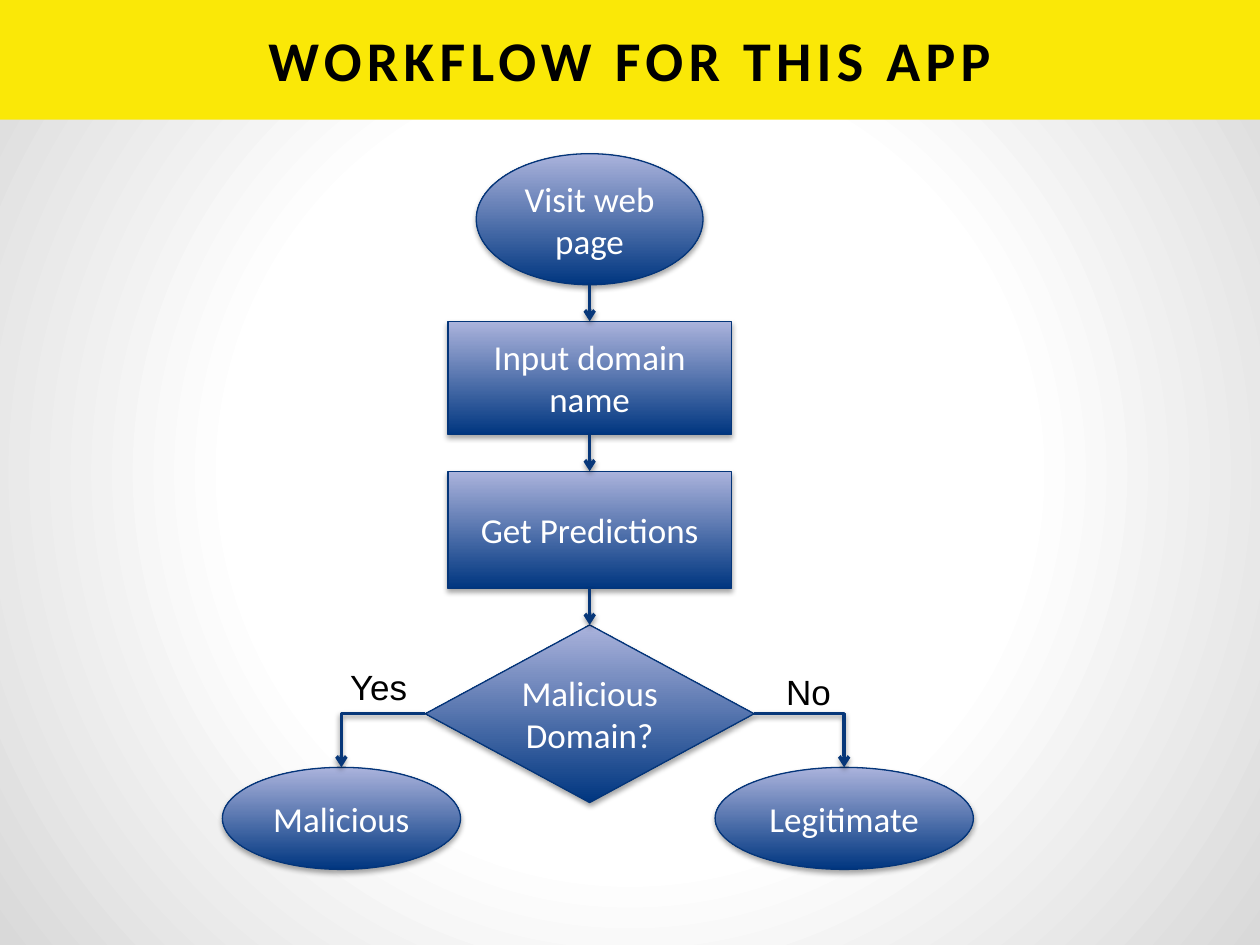
from lxml import etree
from pptx import Presentation
from pptx.dml.color import RGBColor
from pptx.enum.shapes import MSO_CONNECTOR as Link, MSO_SHAPE as Preset
from pptx.enum.text import MSO_ANCHOR as Anchor, PP_ALIGN as Align
from pptx.oxml import parse_xml
from pptx.oxml.ns import nsdecls, qn
from pptx.util import Inches, Pt

TITLE = "WORKFLOW FOR THIS APP"
# name, text, preset, width, height
STEPS = [
    ("visit", "Visit web page", Preset.OVAL, 1.8, 1.04),
    ("input", "Input domain name", Preset.FLOWCHART_PROCESS, 2.25, 0.9),
    ("predict", "Get Predictions", Preset.FLOWCHART_PROCESS, 2.25, 0.93),
    ("decide", "Malicious Domain?", Preset.FLOWCHART_DECISION, 2.61, 1.41),
]
# text, centre, width, side of the decision, answer, answer left, answer top, answer width
OUTCOMES = [
    ("Malicious", 2.71, 1.89, "left", "Yes", 2.68, 5.23, 0.69),
    ("Legitimate", 6.7, 2.05, "right", "No", 6.14, 5.27, 0.56),
]
STEP_CENTRE, STEP_TOP, STEP_GAP = 4.68, 1.22, 0.29
OUTCOME_TOP, OUTCOME_HEIGHT = 6.09, 0.81
SITES = {"top": 0, "left": 1, "bottom": 2, "right": 3}


class Theme:
    """Colours, fonts and type sizes of the slide."""
    banner, ink, white = "FAE807", "000000", "FFFFFF"
    backdrop_edge = "D9D9D9"
    node_dark, node_light, node_line = "003680", "ABB3DC", "043579"
    arrow = "073779"
    font, answer_font = "Calibri", "Arial"
    title_size, text_size = 32, 20


def rgb(value):
    """Turn a hex string into a colour."""
    return RGBColor.from_string(value)


def paint_backdrop(slide):
    """Give the slide a round gradient, white in the middle."""
    slide.background.fill.solid()
    properties = slide.element.find(".//" + qn("p:bgPr"))
    properties.replace(properties[0], parse_xml(
        f'<a:gradFill {nsdecls("a")} rotWithShape="1"><a:gsLst>'
        f'<a:gs pos="50000"><a:srgbClr val="{Theme.white}"/></a:gs>'
        f'<a:gs pos="100000"><a:srgbClr val="{Theme.backdrop_edge}"/></a:gs></a:gsLst>'
        '<a:path path="circle"><a:fillToRect l="50000" t="50000" r="50000" b="50000"/>'
        '</a:path></a:gradFill>'))


def add_shadow(shape, distance, opacity):
    """Add a soft shadow straight below a shape or connector."""
    shape.element.spPr.append(parse_xml(
        f'<a:effectLst {nsdecls("a")}><a:outerShdw blurRad="{Pt(3.1)}" dist="{Pt(distance)}" '
        f'dir="5400000" rotWithShape="0"><a:srgbClr val="{Theme.ink}">'
        f'<a:alpha val="{opacity * 1000}"/></a:srgbClr></a:outerShdw></a:effectLst>'))


def write(shape, text, size, color, font=Theme.font, align=Align.CENTER, bold=False):
    """Put one formatted paragraph into a shape and return its run."""
    shape.text_frame.text = text
    paragraph = shape.text_frame.paragraphs[0]
    paragraph.alignment = align
    run = paragraph.runs[0]
    run.font.size, run.font.name, run.font.bold = Pt(size), font, bold
    run.font.color.rgb = rgb(color)
    return run


def add_title(slide):
    """Add the banner and the spaced title on it."""
    banner = slide.shapes.add_shape(Preset.RECTANGLE, 0, 0, Inches(10), Inches(0.95))
    banner.shadow.inherit = False
    banner.fill.solid()
    banner.fill.fore_color.rgb = rgb(Theme.banner)
    banner.line.fill.background()
    title = slide.shapes.add_textbox(Inches(0.5), Inches(-0.01), Inches(9), Inches(0.96))
    title.text_frame.word_wrap = True
    title.text_frame.vertical_anchor = Anchor.MIDDLE
    run = write(title, TITLE, Theme.title_size, Theme.ink, bold=True)
    run.font._element.set("spc", "300")


def add_node(slide, text, preset, centre, top, width, height):
    """Add a flowchart node centred on a vertical axis."""
    node = slide.shapes.add_shape(preset, Inches(centre - width / 2), Inches(top),
                                  Inches(width), Inches(height))
    node.fill.gradient()
    node.fill.gradient_angle = 90
    for stop, color in zip(node.fill.gradient_stops, (Theme.node_dark, Theme.node_light)):
        stop.color.rgb = rgb(color)
    node.line.color.rgb = rgb(Theme.node_line)
    node.line.width = Pt(0.75)
    add_shadow(node, 1.8, 35)
    node.text_frame.word_wrap = True
    node.text_frame.vertical_anchor = Anchor.MIDDLE
    write(node, text, Theme.text_size, Theme.white)
    return node


def site_point(node, side):
    """Return the middle of one side of a node."""
    across = {"left": 0, "right": node.width}.get(side, node.width // 2)
    down = {"top": 0, "bottom": node.height}.get(side, node.height // 2)
    return node.left + across, node.top + down


def add_arrow(slide, source, side, target):
    """Link a side of one node to the top of another, with one bend from a flank."""
    bent = side in ("left", "right")
    arrow = slide.shapes.add_connector(Link.ELBOW if bent else Link.STRAIGHT,
                                       *site_point(source, side), *site_point(target, "top"))
    if source.auto_shape_type != Preset.OVAL:
        arrow.begin_connect(source, SITES[side])
    arrow.end_connect(target, SITES["top"])
    if bent:
        arrow.element.spPr.find(qn("a:prstGeom")).set("prst", "bentConnector2")
    arrow.line.color.rgb = rgb(Theme.arrow)
    arrow.line.width = Pt(2)
    etree.SubElement(arrow.element.spPr.find(qn("a:ln")), qn("a:tailEnd"), type="arrow")
    add_shadow(arrow, 1.6, 38)


def add_answer(slide, text, left, top, width):
    """Add the label of a branch."""
    label = slide.shapes.add_textbox(Inches(left), Inches(top), Inches(width), Inches(0.44))
    label.text_frame.word_wrap = False
    write(label, text, Theme.text_size, Theme.ink, Theme.answer_font, Align.LEFT)


def build():
    """Build the slide and save it."""
    presentation = Presentation()
    presentation.slide_width, presentation.slide_height = Inches(10), Inches(7.5)
    slide = presentation.slides.add_slide(presentation.slide_layouts[6])
    paint_backdrop(slide)
    add_title(slide)

    steps, top = {}, STEP_TOP
    for name, text, preset, width, height in STEPS:
        steps[name] = add_node(slide, text, preset, STEP_CENTRE, top, width, height)
        top += height + STEP_GAP
    chain = list(steps.values())
    for source, target in zip(chain, chain[1:]):
        add_arrow(slide, source, "bottom", target)

    for text, centre, width, side, answer, *answer_place in OUTCOMES:
        outcome = add_node(slide, text, Preset.OVAL, centre, OUTCOME_TOP, width, OUTCOME_HEIGHT)
        add_arrow(slide, steps["decide"], side, outcome)
        add_answer(slide, answer, *answer_place)
    presentation.save("out.pptx")


build()
